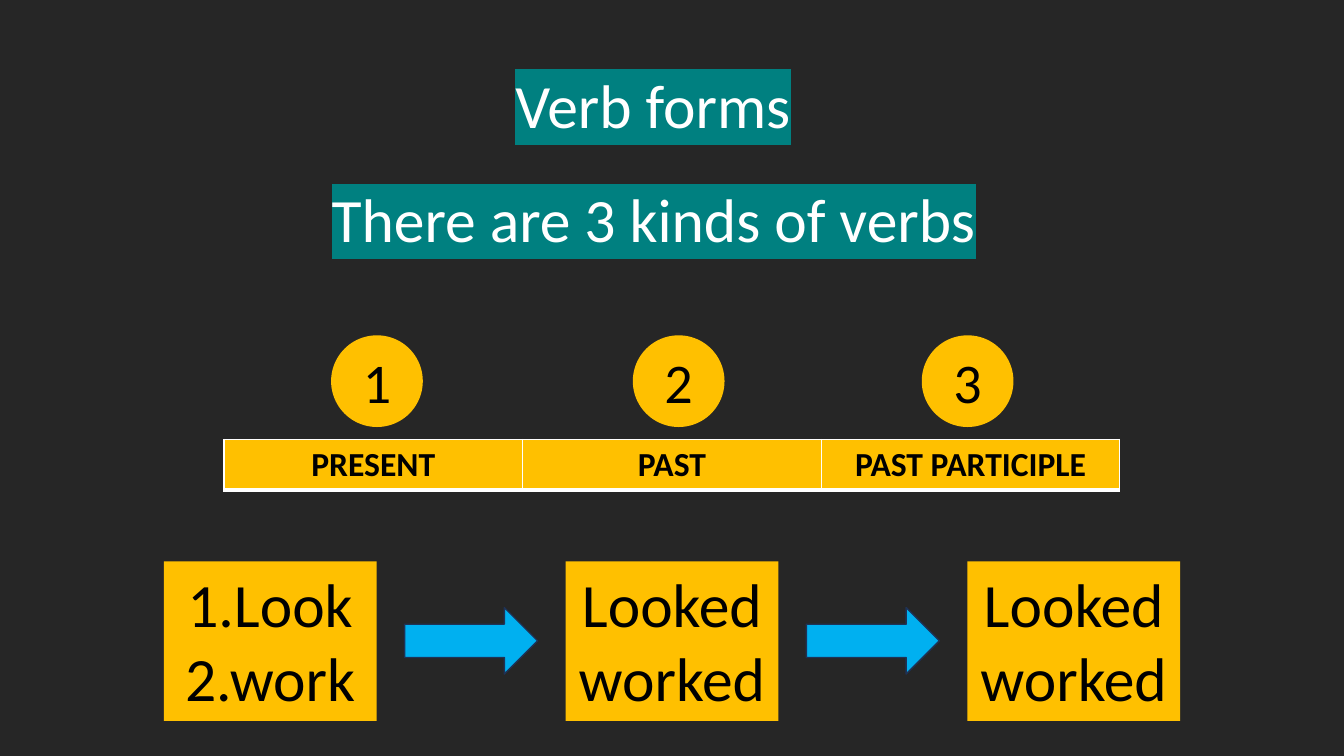
from dataclasses import dataclass

import pptx
import pptx.dml.color
import pptx.enum.shapes
import pptx.enum.text
import pptx.oxml
import pptx.oxml.ns
import pptx.util
import pptx.slide
import pptx.table
import pptx.text.text

Pt = pptx.util.Pt
RGBColor = pptx.dml.color.RGBColor
Shape = pptx.enum.shapes.MSO_SHAPE
Anchor = pptx.enum.text.MSO_ANCHOR

BACKGROUND = RGBColor(0x26, 0x26, 0x26)
WHITE = RGBColor(0xFF, 0xFF, 0xFF)
BLACK = RGBColor(0, 0, 0)
TEAL = RGBColor(0, 0x80, 0x80)
AMBER = RGBColor(0xFF, 0xC0, 0)
BLUE = RGBColor(0, 0xB0, 0xF0)
NAVY = RGBColor(0x1E, 0x32, 0x56)

FONT = "Calibri"
NAMESPACE = pptx.oxml.ns.nsdecls("a")


@dataclass
class Heading:
    text: str
    left: float
    top: float
    width: float


@dataclass
class VerbForm:
    name: str
    number: str
    circle_left: float
    examples: tuple[str, ...]


HEADINGS = [
    Heading("Verb forms", 360, 44, 213),
    Heading("There are 3 kinds of verbs", 227, 126, 480),
]
FORMS = [
    VerbForm("PRESENT", "1", 236.5, ("1.Look", "2.work")),
    VerbForm("PAST", "2", 452, ("Looked", "worked")),
    VerbForm("PAST PARTICIPLE", "3", 658.4, ("Looked", "worked")),
]
EXAMPLE_LEFT, EXAMPLE_STEP = 117, 287
ARROW_LEFT = 289


def write_lines(frame: pptx.text.text.TextFrame, lines: tuple[str, ...], size: float,
                color: RGBColor, bold: bool = False,
                highlight: RGBColor | None = None) -> None:
    for index, line in enumerate(lines):
        para = frame.paragraphs[0] if index == 0 else frame.add_paragraph()
        para.alignment = pptx.enum.text.PP_ALIGN.CENTER
        span = para.add_run()
        span.text = line
        span.font.size = Pt(size)
        span.font.bold = bold
        span.font.color.rgb = color
        if highlight is not None:
            span.font.fill  # the highlight follows the text fill
            span.font._element.append(pptx.oxml.parse_xml(
                f'<a:highlight {NAMESPACE}><a:srgbClr val="{highlight}"/></a:highlight>'))
        span.font.name = FONT


def add_heading(page: pptx.slide.Slide, heading: Heading) -> None:
    box = page.shapes.add_textbox(Pt(heading.left), Pt(heading.top), Pt(heading.width), Pt(60))
    box.text_frame.word_wrap = False
    box.text_frame.auto_size = pptx.enum.text.MSO_AUTO_SIZE.SHAPE_TO_FIT_TEXT
    write_lines(box.text_frame, (heading.text,), 44, WHITE, highlight=TEAL)


def add_block(page: pptx.slide.Slide, kind: Shape, left: float, top: float, width: float,
              height: float, fill: RGBColor, line: RGBColor | None = None,
              lines: tuple[str, ...] = (), size: float = 44,
              anchor: Anchor = Anchor.TOP) -> None:
    block = page.shapes.add_shape(kind, Pt(left), Pt(top), Pt(width), Pt(height))
    block.shadow.inherit = False
    block.fill.solid()
    block.fill.fore_color.rgb = fill
    if line is None:
        block.line.fill.background()
    else:
        block.line.color.rgb = line
        block.line.width = Pt(1)
    block.text_frame.word_wrap = True
    block.text_frame.vertical_anchor = anchor
    write_lines(block.text_frame, lines, size, BLACK)


def style_cell(cell: pptx.table._Cell, name: str) -> None:
    properties = cell._tc.get_or_add_tcPr()
    for side, width in (("L", 1), ("R", 1), ("T", 1), ("B", 3)):
        properties.append(pptx.oxml.parse_xml(
            f'<a:ln{side} {NAMESPACE} w="{Pt(width)}"><a:solidFill>'
            f'<a:srgbClr val="{WHITE}"/></a:solidFill></a:ln{side}>'))
    cell.fill.solid()
    cell.fill.fore_color.rgb = AMBER
    write_lines(cell.text_frame, (name,), 24, BLACK, bold=True)


def add_form_table(page: pptx.slide.Slide) -> None:
    frame = page.shapes.add_table(1, len(FORMS), Pt(160), Pt(314), Pt(640), Pt(36))
    frame.table.horz_banding = False
    for cell, form in zip(frame.table.rows[0].cells, FORMS):
        style_cell(cell, form.name)


def main() -> None:
    deck = pptx.Presentation()
    deck.slide_width, deck.slide_height = Pt(960), Pt(540)
    page = deck.slides.add_slide(deck.slide_layouts[6])
    page.background.fill.solid()
    page.background.fill.fore_color.rgb = BACKGROUND

    # Headings
    for heading in HEADINGS:
        add_heading(page, heading)

    # Numbered circles and example boxes
    for index, form in enumerate(FORMS):
        add_block(page, Shape.OVAL, form.circle_left, 239.5, 65.5, 65.5, AMBER,
                  lines=(form.number,), size=40, anchor=Anchor.MIDDLE)
        add_block(page, Shape.RECTANGLE, EXAMPLE_LEFT + index * EXAMPLE_STEP, 401, 152, 114,
                  AMBER, lines=form.examples)

    # Arrows between the example boxes
    for index in range(len(FORMS) - 1):
        add_block(page, Shape.RIGHT_ARROW, ARROW_LEFT + index * EXAMPLE_STEP, 434, 95, 47.5,
                  BLUE, line=NAVY)

    # Names of the verb forms
    add_form_table(page)

    deck.save("out.pptx")


if __name__ == "__main__":
    main()
